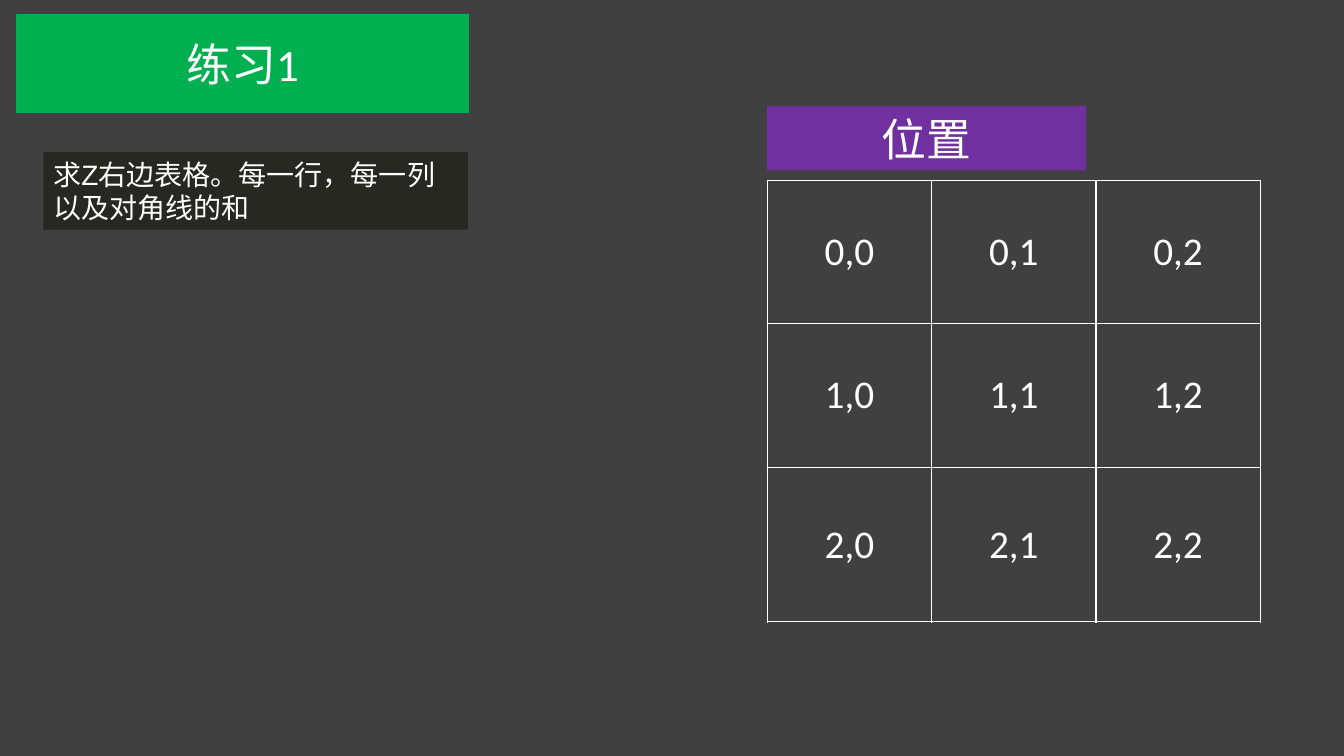
from lxml import etree
from pptx import Presentation
from pptx.dml.color import RGBColor
from pptx.enum.shapes import MSO_SHAPE
from pptx.enum.text import MSO_ANCHOR, PP_ALIGN
from pptx.oxml.ns import qn
from pptx.util import Inches, Pt

RECTANGLE = MSO_SHAPE.RECTANGLE
MIDDLE = MSO_ANCHOR.MIDDLE
LEFT, CENTER = PP_ALIGN.LEFT, PP_ALIGN.CENTER

COLORS = {
    "background": "404040",
    "title": "00B050",
    "task": "272822",
    "heading": "7030A0",
    "light": "FFFFFF",
}
ROW_HEIGHTS = [1.42, 1.43, 1.53]
COLUMN_WIDTHS = [1.63] * 3
BORDER_SIDES = ("a:lnL", "a:lnR", "a:lnT", "a:lnB")


def color(name):
    return RGBColor.from_string(COLORS[name])


def add_line(paragraph, text, size, font, align):
    paragraph.alignment = align
    run = paragraph.add_run()
    run.text = text
    run.font.size = Pt(size)
    run.font.name = font
    run.font.color.rgb = color("light")


def add_panel(slide, box, fill, lines, size, font, align=CENTER):
    panel = slide.shapes.add_shape(RECTANGLE, *map(Inches, box))
    panel.shadow.inherit = False
    panel.fill.solid()
    panel.fill.fore_color.rgb = color(fill)
    panel.line.fill.background()
    frame = panel.text_frame
    frame.word_wrap = True
    frame.vertical_anchor = MIDDLE
    for index, text in enumerate(lines):
        paragraph = frame.add_paragraph() if index else frame.paragraphs[0]
        add_line(paragraph, text, size, font, align)


def outline_cell(cell):
    properties = cell._tc.get_or_add_tcPr()
    for position, side in enumerate(BORDER_SIDES):
        border = etree.Element(qn(side), w=str(Pt(1)))
        solid = etree.SubElement(border, qn("a:solidFill"))
        etree.SubElement(solid, qn("a:srgbClr"), val=COLORS["light"])
        properties.insert(position, border)


def add_position_grid(slide, left, top):
    grid = slide.shapes.add_table(
        len(ROW_HEIGHTS), len(COLUMN_WIDTHS), Inches(left), Inches(top),
        Inches(sum(COLUMN_WIDTHS)), Inches(sum(ROW_HEIGHTS)),
    ).table
    grid.first_row = False
    grid.horz_banding = False
    for column, width in zip(grid.columns, COLUMN_WIDTHS):
        column.width = Inches(width)
    for row_number, height in enumerate(ROW_HEIGHTS):
        grid.rows[row_number].height = Inches(height)
        for column_number in range(len(COLUMN_WIDTHS)):
            cell = grid.cell(row_number, column_number)
            cell.fill.background()
            cell.vertical_anchor = MIDDLE
            add_line(cell.text_frame.paragraphs[0],
                     f"{row_number},{column_number}", 28, "Calibri", CENTER)
            outline_cell(cell)


def add_exercise(slide, left, top):
    add_panel(slide, (left, top, 4.49, 0.98), "title", ["练习1"], 32, "Calibri")
    add_panel(slide, (left + 0.27, top + 1.37, 4.21, 0.77), "task",
              ["求Z右边表格。每一行，每一列", "以及对角线的和"], 20, "Arial", LEFT)


def add_positions(slide, left, top):
    add_position_grid(slide, left, top + 0.74)
    add_panel(slide, (left, top, 3.16, 0.64), "heading", ["位置"], 32, "Arial")


def main():
    deck = Presentation()
    deck.slide_width, deck.slide_height = Inches(13.33), Inches(7.5)
    slide = deck.slides.add_slide(deck.slide_layouts[6])
    slide.background.fill.solid()
    slide.background.fill.fore_color.rgb = color("background")
    add_exercise(slide, 0.16, 0.14)
    add_positions(slide, 7.61, 1.05)
    deck.save("out.pptx")


if __name__ == "__main__":
    main()
